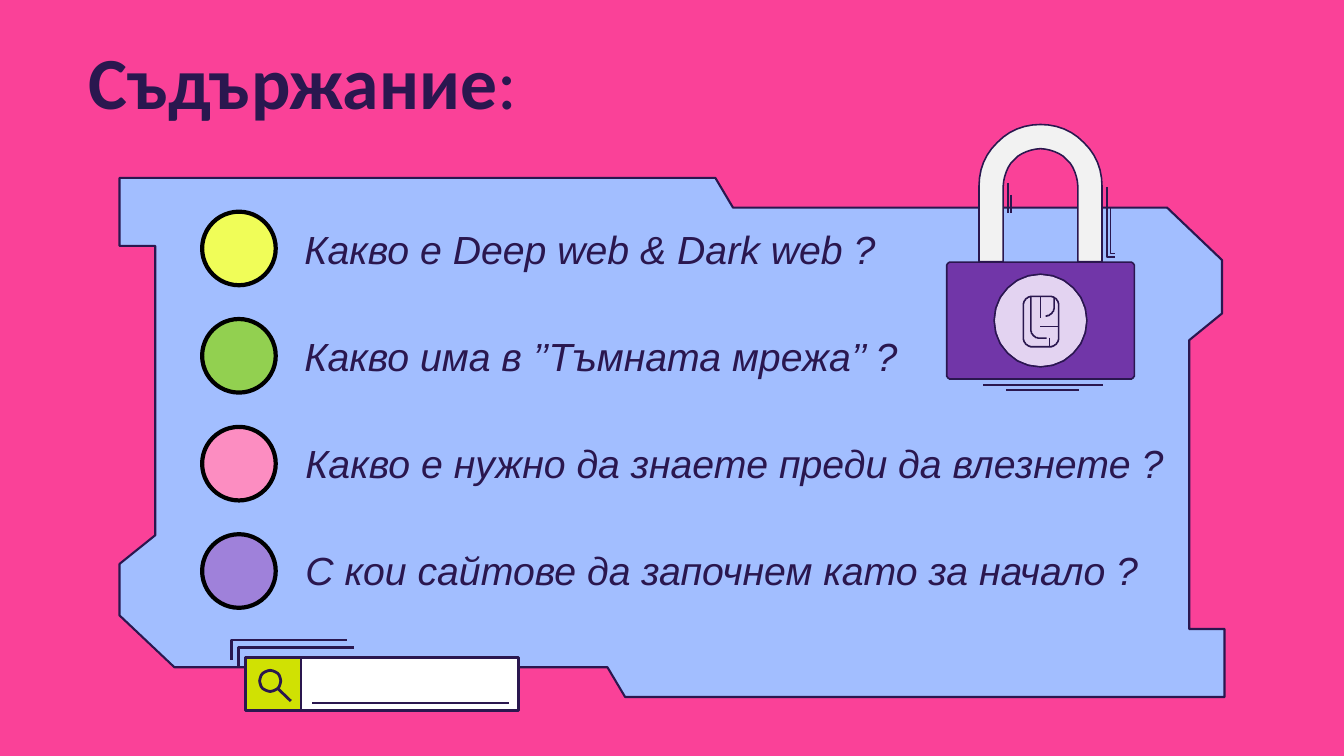
import math

import pptx
import pptx.dml.color
import pptx.enum.shapes
import pptx.enum.text
import pptx.util

PX = 9144
INK = "2A174F"
SHAPES = pptx.enum.shapes.MSO_SHAPE

PANEL = [
    (2359, 1248), (2359, 675), (2424, 622), (2424, 516), (2315, 412),
    (1454, 412), (1419, 353), (237, 353), (237, 488), (308, 488),
    (308, 1062), (237, 1119), (237, 1221), (346, 1324), (1205, 1324),
    (1240, 1383), (2429, 1383), (2429, 1248),
]
TOPICS = [
    ("Какво е Deep web & Dark web ?", "F0FD58", 594, 1250),
    ("Какво има в ’’Тъмната мрежа’’ ?", "92D050", 594, 1250),
    ("Какво е нужно да знаете преди да влезнете ?", "FC8DC1", 596, 1750),
    ("С кои сайтове да започнем като за начало ?", "9F81DA", 596, 1750),
]


def px(value):
    return pptx.util.Emu(round(value * PX))


def color(value):
    return pptx.dml.color.RGBColor.from_string(value)


def arc(center_x, center_y, radius, start, end):
    angles = [math.radians(start + (end - start) * step / 24) for step in range(25)]
    return [
        (center_x + radius * math.cos(angle), center_y + radius * math.sin(angle))
        for angle in angles
    ]


def circle(center_x, center_y, radius):
    points = arc(center_x, center_y, radius, 0, 360)
    return points[:-1] + points[:1]


def rectangle(left, top, right, bottom):
    return [(left, top), (right, top), (right, bottom), (left, bottom), (left, top)]


def rounded_rectangle(left, top, right, bottom, radius):
    points = (
        arc(left + radius, top + radius, radius, 180, 270)
        + arc(right - radius, top + radius, radius, 270, 360)
        + arc(right - radius, bottom - radius, radius, 0, 90)
        + arc(left + radius, bottom - radius, radius, 90, 180)
    )
    return points + points[:1]


def style(shape, fill, line, width):
    shape.shadow.inherit = False
    if fill:
        shape.fill.solid()
        shape.fill.fore_color.rgb = color(fill)
    else:
        shape.fill.background()
    if line:
        shape.line.color.rgb = color(line)
        shape.line.width = pptx.util.Pt(width)
    else:
        shape.line.fill.background()


def add_preset(slide, kind, left, top, width, height, fill, line=None, line_width=0):
    shape = slide.shapes.add_shape(kind, px(left), px(top), px(width), px(height))
    style(shape, fill, line, line_width)
    return shape


def add_area(slide, points, fill, line=None, line_width=0):
    builder = slide.shapes.build_freeform(*points[0], scale=PX)
    builder.add_line_segments(points[1:])
    style(builder.convert_to_shape(), fill, line, line_width)


def add_strokes(slide, strokes, width):
    builder = slide.shapes.build_freeform(*strokes[0][0], scale=PX)
    for index, points in enumerate(strokes):
        if index:
            builder.move_to(*points[0])
        builder.add_line_segments(points[1:], close=points[0] == points[-1])
    style(builder.convert_to_shape(), None, INK, width)


def add_text(slide, left, top, width, height, text, font_name, size):
    frame = slide.shapes.add_textbox(px(left), px(top), px(width), px(height)).text_frame
    frame.word_wrap = True
    paragraph = frame.paragraphs[0]
    paragraph.add_run().text = text
    paragraph.font.name = font_name
    paragraph.font.size = pptx.util.Pt(size)
    paragraph.font.color.rgb = color(INK)
    return frame


def add_title(slide):
    frame = add_text(slide, 166, 66, 2333, 187, "Съдържание", "Calibri", 105)
    paragraph = frame.paragraphs[0]
    paragraph.runs[0].font.bold = True
    paragraph.add_run().text = ":"


def add_topic(slide, index, text, fill, left, width):
    add_preset(slide, SHAPES.OVAL, 401, round(420 + index * 640 / 3), 146, 146,
               fill, "000000", 6)
    frame = add_text(slide, left, 442 + index * 212, width, 104, text, "Arial", 56)
    frame.vertical_anchor = pptx.enum.text.MSO_ANCHOR.MIDDLE
    frame.paragraphs[0].font.italic = True


def add_padlock(slide):
    shackle = (
        [(1942, 519)] + arc(2064, 369, 122, 180, 360) + [(2186, 519), (2138, 519)]
        + arc(2064, 369, 74, 360, 180) + [(1990, 519), (1942, 519)]
    )
    add_area(slide, shackle, "F2F2F2")
    body = add_preset(slide, SHAPES.ROUNDED_RECTANGLE, 1878, 520, 372, 232, "7136A8")
    body.adjustments[0] = 0.03
    add_preset(slide, SHAPES.OVAL, 1974, 546, 180, 180, "E3D3F1")
    fingerprint = [
        rounded_rectangle(2030, 588, 2100, 688, 18),
        [(2045, 588)] + arc(2062, 654, 17, 180, 90) + [(2076, 671)],
        [(2091, 591)] + arc(2074, 610, 17, 0, 90),
        [(2064, 588), (2064, 630)],
        [(2063, 648), (2100, 648)],
        [(2082, 670), (2082, 688)],
    ]
    glints = [
        [(2203, 411), (2203, 503), (2211, 503)],
        [(2196, 371), (2196, 510), (2211, 510)],
        [(1999, 363), (1999, 423)],
        [(2006, 386), (2006, 423)],
        [(1950, 764), (2187, 764)],
        [(1996, 774), (2140, 774)],
    ]
    outlines = [
        shackle,
        rounded_rectangle(1878, 520, 2250, 752, 8),
        circle(2064, 636, 92),
    ]
    add_strokes(slide, outlines + fingerprint + glints, 2.25)


def add_search_bar(slide):
    add_preset(slide, SHAPES.RECTANGLE, 487, 1305, 110, 104, "D0E103")
    add_preset(slide, SHAPES.RECTANGLE, 596, 1305, 433, 104, "FFFFFF")
    add_strokes(slide, [
        rectangle(487, 1305, 597, 1409),
        rectangle(597, 1305, 1029, 1409),
        circle(536, 1351, 21),
        [(552, 1367), (577, 1391)],
        [(619, 1395), (1009, 1395)],
        [(459, 1309), (459, 1270), (688, 1270)],
        [(473, 1324), (473, 1285), (703, 1285)],
    ], 4)


def main():
    presentation = pptx.Presentation()
    presentation.slide_width = px(2666)
    presentation.slide_height = px(1500)
    slide = presentation.slides.add_slide(presentation.slide_layouts[6])
    slide.background.fill.solid()
    slide.background.fill.fore_color.rgb = color("FA4198")
    add_area(slide, PANEL, "A2BEFF", INK, 3)
    add_padlock(slide)
    add_search_bar(slide)
    add_title(slide)
    for index, topic in enumerate(TOPICS):
        add_topic(slide, index, *topic)
    presentation.save("out.pptx")


if __name__ == "__main__":
    main()
